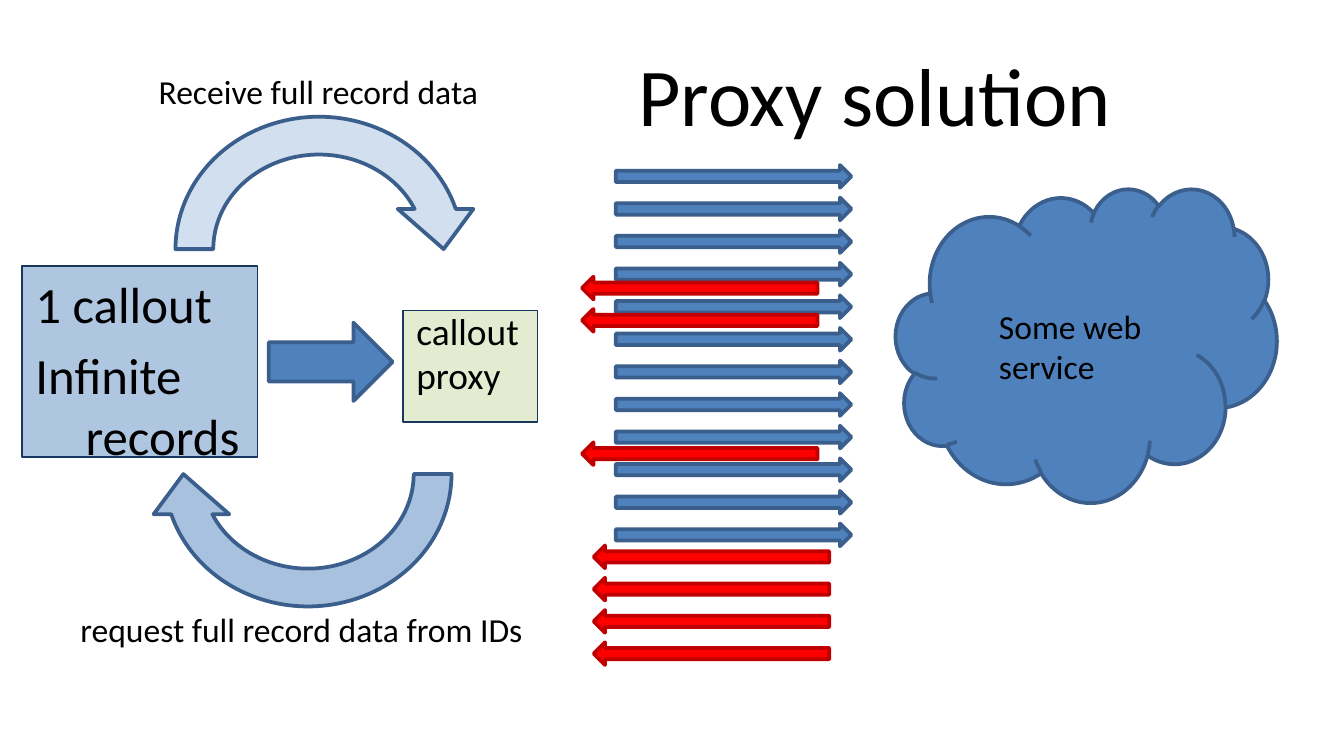
"""Build the proxy solution slide."""
from lxml.etree import SubElement
from pptx import Presentation
from pptx.dml.color import RGBColor
from pptx.enum.shapes import MSO_SHAPE as Shape
from pptx.enum.text import MSO_ANCHOR as Anchor, PP_ALIGN as Align
from pptx.oxml.ns import qn
from pptx.util import Cm, Pt

BLUE, BLUE_EDGE, NAVY = "4F81BD", "3A5F8C", "17375E"
RED, RED_EDGE, GREEN = "FF0000", "C00000", "C3D69B"

deck = Presentation()
deck.slide_width, deck.slide_height = Cm(25.4), Cm(14.29)
page = deck.slides.add_slide(deck.slide_layouts[6])


def add_block(kind, place, fill=BLUE, edge=BLUE_EDGE, width=2, opacity=100, turn=0):
    block = page.shapes.add_shape(kind, *map(Cm, place))
    block.shadow.inherit = False
    block.rotation = turn
    block.fill.solid()
    block.fill.fore_color.rgb = RGBColor.from_string(fill)
    block.line.color.rgb = RGBColor.from_string(edge)
    block.line.width = Pt(width)
    if opacity < 100:
        color = block.fill._xPr.find(qn("a:solidFill"))[0]
        SubElement(color, qn("a:alpha"), val=str(opacity * 1000))
    return block


def write(box, lines, size, anchor=Anchor.TOP, hanging=0, **layout):
    frame = box.text_frame
    frame.word_wrap = True
    frame.vertical_anchor = anchor
    for index, line in enumerate(lines):
        para = frame.add_paragraph() if index else frame.paragraphs[0]
        for name, value in ({"alignment": Align.LEFT} | layout).items():
            setattr(para, name, value)
        if hanging:
            properties = para._p.get_or_add_pPr()
            properties.set("marL", str(Cm(hanging)))
            properties.set("indent", str(-Cm(hanging)))
        span = para.add_run()
        span.text = line
        span.font.name, span.font.size = "Calibri", Pt(size)
        span.font.color.rgb = RGBColor.from_string("000000")


records = add_block(Shape.RECTANGLE, (0.42, 5.03, 4.45, 3.61), BLUE, NAVY, 0.75, 45)
write(records, ["1 callout", "Infinite records"], 27.2, hanging=0.95, space_before=Pt(5.4))
add_block(Shape.RIGHT_ARROW, (5.08, 6.1, 2.34, 1.48))
proxy = add_block(Shape.RECTANGLE, (7.62, 5.87, 2.54, 2.11), GREEN, NAVY, 0.75, 45)
write(proxy, ["callout", "proxy"], 20, hanging=0.95, space_before=Pt(4), line_spacing=0.8)
add_block(Shape.CIRCULAR_ARROW, (2.75, 6.1, 6.14, 5.72), opacity=49, turn=180)
add_block(Shape.CIRCULAR_ARROW, (2.96, 1.85, 6.14, 5.72), opacity=25)
add_block(Shape.CLOUD, (16.93, 3.56, 7.2, 5.93))

for step in range(12):
    add_block(Shape.RIGHT_ARROW, (11.64, 3.12 + 0.616 * step, 4.45, 0.43))

early_replies = [(11, top) for top in (5.23, 5.84, 8.36)]
late_replies = [(11.22, 10.31 + 0.61 * step) for step in range(4)]
for left, top in early_replies + late_replies:
    add_block(Shape.RIGHT_ARROW, (left, top, 4.45, 0.43), RED, RED_EDGE, turn=180)

labels = [
    ("Proxy solution", (8.94, 0.58, 15.19, 2.39), 44,
     {"anchor": Anchor.MIDDLE, "alignment": Align.CENTER}),
    ("request full record data from IDs", (1.27, 11.38, 10.8, 1.02), 18, {}),
    ("Some web service", (18.63, 5.66, 3.39, 1.8), 18, {}),
    ("Receive full record data", (2.75, 1.22, 6.77, 1.02), 18, {}),
]
for label, place, size, layout in labels:
    write(page.shapes.add_textbox(*map(Cm, place)), [label], size, **layout)

deck.save("out.pptx")
